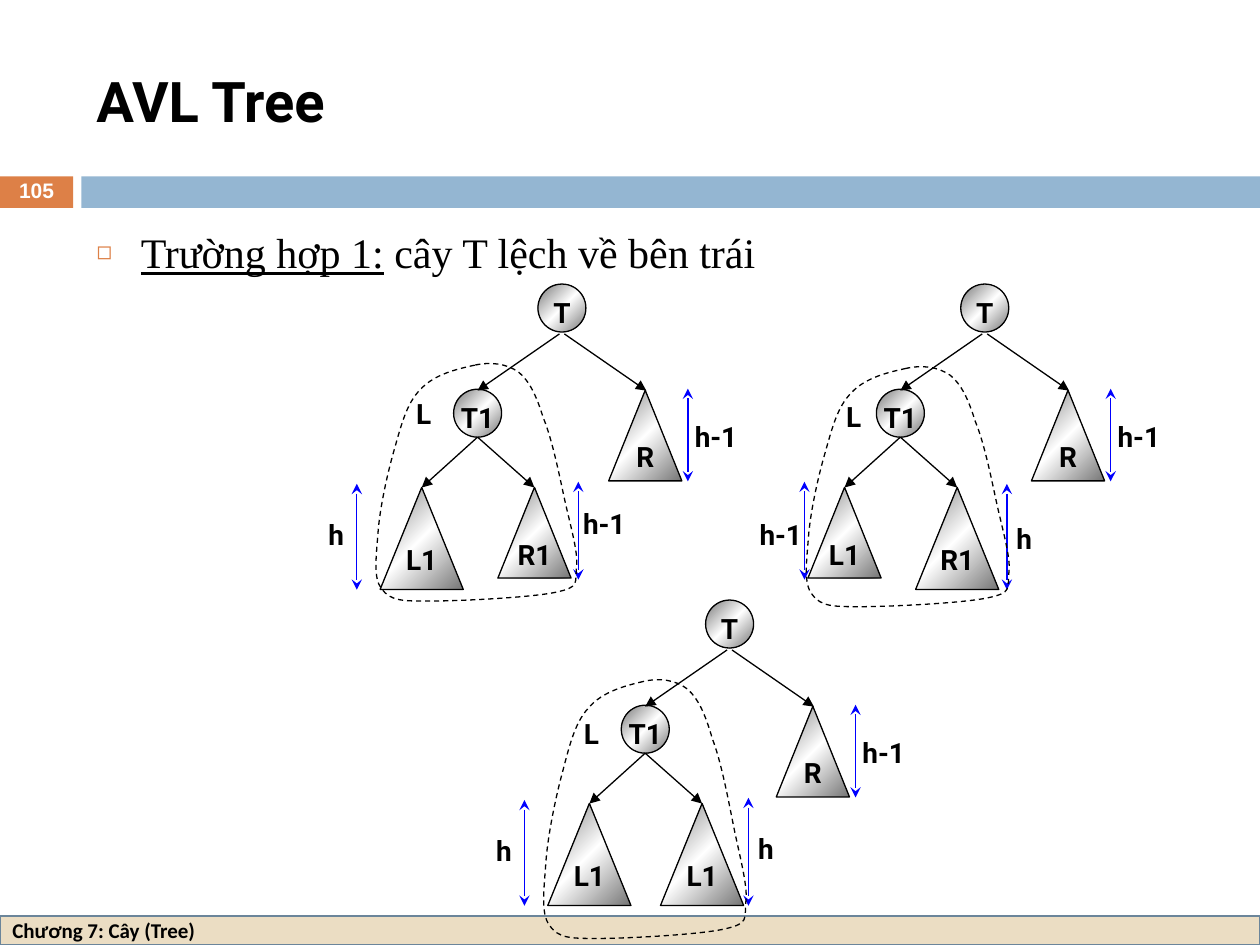
"""Build the AVL tree slide showing three cases of a left-heavy tree."""
from copy import deepcopy
from dataclasses import dataclass

from pptx import Presentation, util as u
from pptx.dml import color
from pptx.enum import dml, shapes, text
from pptx.oxml.ns import qn
from lxml import etree

BLACK, BLUE = "000000", "0000FF"
NODE_FONT = dict(name="Roboto", size=u.Pt(16), bold=True)
CENTER = text.PP_ALIGN.CENTER
SHAPE = shapes.MSO_SHAPE
SMALL, BIG = (41.8, 51.8), (47.5, 58.3)
OUTLINE_SIZE = (117, 137)
OUTLINE_START = (58, 2)
OUTLINE_CURVES = [
    ((49, 4), (35, 7), (27, 16)),
    ((19, 24), (16, 37), (12, 51)),
    ((8, 65), (4, 84), (3, 97)),
    ((2, 111), (0, 124), (5, 130)),
    ((10, 137), (17, 137), (32, 137)),
    ((49, 137), (90, 135), (104, 132)),
    ((118, 129), (115, 127), (116, 117)),
    ((117, 109), (112, 92), (109, 78)),
    ((106, 64), (102, 44), (97, 32)),
    ((93, 19), (89, 11), (83, 6)),
    ((76, 1), (67, 0), (58, 2)),
]


@dataclass
class Height:
    label: str
    x: float
    top: float
    bottom: float
    label_x: float
    label_y: float
    label_w: float


@dataclass
class Subtree:
    label: str
    size: tuple[float, float]
    height: Height


@dataclass
class Tree:
    x: float
    y: float
    left: Subtree
    right: Subtree
    outline: tuple[float, float, float, float]
    l_at: tuple[float, float]
    l_spacing: float


RIGHT_HEIGHT = Height("h-1", 72, 59.8, 112.8, 72.6, 74.9, 31)
LEFT_HEIGHT = Height("h", -117.2, 114.2, 174.7, -138, 130.8, 18)
TREES = [
    Tree(321.1, 162.3,
         Subtree("L1", BIG, LEFT_HEIGHT),
         Subtree("R1", SMALL, Height("h-1", 9.4, 113, 168.9, 10.2, 124.4, 28)),
         (-108, 44.4, 117.4, 136.8), (-92.9, 64.1), 1),
    Tree(562.7, 162.3,
         Subtree("L1", SMALL, Height("h-1", -103, 113, 168.9, -130.5, 130.8, 28)),
         Subtree("R1", BIG, Height("h", 12.7, 114.2, 174.7, 13.5, 133.2, 18)),
         (-103.7, 46.2, 118.6, 138.2), (-88.8, 65.9), 1),
    Tree(416.9, 342.9,
         Subtree("L1", BIG, LEFT_HEIGHT),
         Subtree("L1", BIG, Height("h", 10.8, 113, 174.7, 10.8, 129.9, 20)),
         (-108, 44.4, 118.4, 149), (-92.9, 63.9), 1.13),
]


def rgb(value: str) -> color.RGBColor:
    return color.RGBColor.from_string(value)


def assign(obj, values: dict) -> None:
    for name, value in values.items():
        setattr(obj, name, value)


def add_run(p, content: str, font: dict, tint: str = BLACK) -> None:
    r = p.add_run()
    r.text = content
    assign(r.font, font)
    r.font.color.rgb = rgb(tint)


def write(sp, content: str, font: dict, tint: str = BLACK, para=None, **frame):
    tf = sp.text_frame
    assign(tf, {"word_wrap": True, **frame})
    p = tf.paragraphs[0]
    assign(p, para or {})
    add_run(p, content, font, tint)
    return p


def no_margins() -> dict:
    return {f"margin_{side}": 0 for side in ("left", "top", "right", "bottom")}


def box(parent, x, y, w, h):
    return parent.add_textbox(u.Pt(x), u.Pt(y), u.Pt(w), u.Pt(h))


def bar(parent, x, y, w, h, fill):
    sp = parent.add_shape(SHAPE.RECTANGLE, u.Pt(x), u.Pt(y), u.Pt(w), u.Pt(h))
    sp.shadow.inherit = False
    sp.fill.solid()
    sp.fill.fore_color.rgb = rgb(fill)
    sp.line.fill.background()
    return sp


def stroke(line, tint: str, width: float = 0.75) -> None:
    line.color.rgb = rgb(tint)
    line.width = u.Pt(width)


def label(parent, content: str, x, y, w, spacing: float = 1.13) -> None:
    write(box(parent, x, y, w, 25.2), content, NODE_FONT,
          para=dict(alignment=CENTER, line_spacing=spacing), **no_margins())


def node(parent, kind, content: str, x, y, w, h) -> None:
    sp = parent.add_shape(kind, u.Pt(x - w / 2), u.Pt(y), u.Pt(w), u.Pt(h))
    sp.shadow.inherit = False
    sp.fill.gradient()
    sp.fill.gradient_angle = 315
    first = sp._element.spPr.find(".//" + qn("a:gs"))
    first.addnext(deepcopy(first))
    for stop, (position, tint) in zip(
            sp.fill.gradient_stops, [(0, "767676"), (0.5, "FFFFFF"), (1, "767676")]):
        stop.position = position
        stop.color.rgb = rgb(tint)
    stroke(sp.line, BLACK)
    write(sp, content, NODE_FONT, para=dict(alignment=CENTER, line_spacing=1.13),
          **no_margins(), word_wrap=False, vertical_anchor=text.MSO_ANCHOR.TOP)


def arrow(parent, x1, y1, x2, y2, tint: str = BLACK, **ends: str) -> None:
    cx = parent.add_connector(shapes.MSO_CONNECTOR.STRAIGHT,
                              u.Pt(x1), u.Pt(y1), u.Pt(x2), u.Pt(y2))
    stroke(cx.line, tint)
    ln = cx.line._get_or_add_ln()
    for end, kind in ends.items():
        etree.SubElement(ln, qn(f"a:{end}"), type=kind)
    etree.SubElement(cx._element.spPr, qn("a:effectLst"))


def height_mark(parent, x, y, h: Height) -> None:
    arrow(parent, x + h.x, y + h.top, x + h.x, y + h.bottom, BLUE,
          headEnd="stealth", tailEnd="stealth")
    label(parent, h.label, x + h.label_x, y + h.label_y, h.label_w)


def outline(parent, x, y, w, h) -> None:
    builder = parent.build_freeform(*OUTLINE_START)
    builder.add_line_segments([curve[-1] for curve in OUTLINE_CURVES], close=True)
    sp = builder.convert_to_shape()
    assign(sp, dict(left=u.Pt(x), top=u.Pt(y), width=u.Pt(w), height=u.Pt(h)))
    track = sp._element.find(".//" + qn("a:path"))
    for name, value in zip("wh", OUTLINE_SIZE):
        track.set(name, str(value))
    for child in list(track):
        track.remove(child)
    for tag, points in [("moveTo", [OUTLINE_START]),
                        *(("cubicBezTo", curve) for curve in OUTLINE_CURVES), ("close", [])]:
        step = etree.SubElement(track, qn(f"a:{tag}"))
        for px, py in points:
            etree.SubElement(step, qn("a:pt"), x=str(px), y=str(py))
    sp.shadow.inherit = False
    sp.fill.background()
    stroke(sp.line, BLACK)
    sp.line.dash_style = dml.MSO_LINE.DASH


def draw_tree(s, tree: Tree) -> None:
    g, x, y = s.shapes.add_group_shape().shapes, tree.x, tree.y
    node(g, SHAPE.OVAL, "T", x, y, 27.4, 27.4)
    node(g, SHAPE.OVAL, "T1", x - 48.2, y + 60.1, 27.4, 27.4)
    node(g, SHAPE.ISOSCELES_TRIANGLE, "R", x + 47.6, y + 60.7, *SMALL)
    height_mark(g, x, y, RIGHT_HEIGHT)
    for side in (-1, 1):
        arrow(g, x + 1.4 * side, y + 28.5, x + 48.2 * side, y + 60.9, tailEnd="triangle")
    for sub, apex in ((tree.left, -80.1), (tree.right, -15.7)):
        node(g, SHAPE.ISOSCELES_TRIANGLE, sub.label, x + apex, y + 116.2, *sub.size)
        arrow(g, x - 48.2, y + 87.5, x + apex, y + 116.3, tailEnd="triangle")
        height_mark(g, x, y, sub.height)
    dx, dy, w, h = tree.outline
    outline(g, x + dx, y + dy, w, h)
    label(g, "L", x + tree.l_at[0], y + tree.l_at[1], 28, tree.l_spacing)


def draw_frame(s) -> None:
    middle = dict(vertical_anchor=text.MSO_ANCHOR.MIDDLE)
    bar(s.shapes, 0, 100.8, 41.9, 18, "DD8047")
    bar(s.shapes, 46.5, 100.8, 673.5, 18, "94B6D2")
    footer = bar(s.shapes, 0, 523.4, 720, 16.6, "EBDDC3")
    stroke(footer.line, "6B859A", 1.5)
    write(footer, "Chương 7: Cây (Tree)", dict(name="Calibri", size=u.Pt(12), bold=True),
          para=dict(alignment=text.PP_ALIGN.LEFT), **middle)
    write(box(s.shapes, 48, 18.4, 642.2, 77.8), "AVL Tree",
          dict(name="Roboto", size=u.Pt(32), bold=True), **middle)
    write(box(s.shapes, 0, 100.1, 41.8, 19.4), "105",
          dict(name="Arial", size=u.Pt(12), bold=True), "FFFFFF",
          dict(alignment=CENTER, line_spacing=0.8), **middle)
    font = dict(name="Times New Roman", size=u.Pt(24))
    p = write(box(s.shapes, 48.2, 126, 642.2, 356.4), "Trường hợp 1:",
              {**font, "underline": True}, para=dict(space_before=u.Pt(7)))
    add_run(p, " cây T lệch về bên trái", font)
    pPr = p._p.get_or_add_pPr()
    for name, value in dict(marL=u.Pt(25.2), indent=-u.Pt(25.2)).items():
        pPr.set(name, str(value))
    etree.SubElement(etree.SubElement(pPr, qn("a:buClr")), qn("a:srgbClr"), val="DD8047")
    etree.SubElement(pPr, qn("a:buSzPct"), val="60000")
    etree.SubElement(pPr, qn("a:buFont"), typeface="Arial")
    etree.SubElement(pPr, qn("a:buChar"), char="◻")


def main() -> None:
    prs = Presentation()
    prs.slide_width, prs.slide_height = u.Pt(720), u.Pt(540)
    s = prs.slides.add_slide(prs.slide_layouts[6])
    draw_frame(s)
    for tree in TREES:
        draw_tree(s, tree)
    prs.save("out.pptx")


if __name__ == "__main__":
    main()
